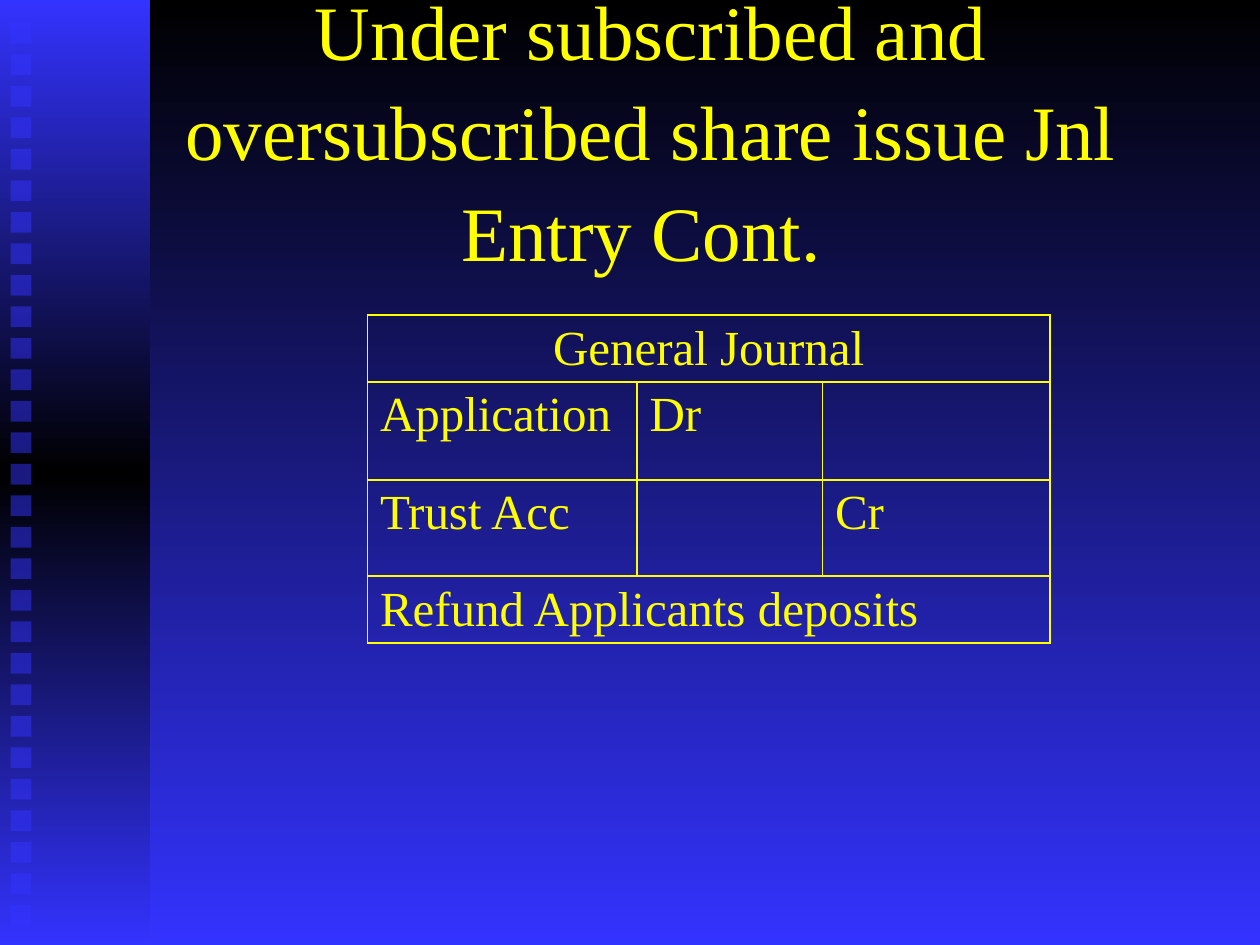
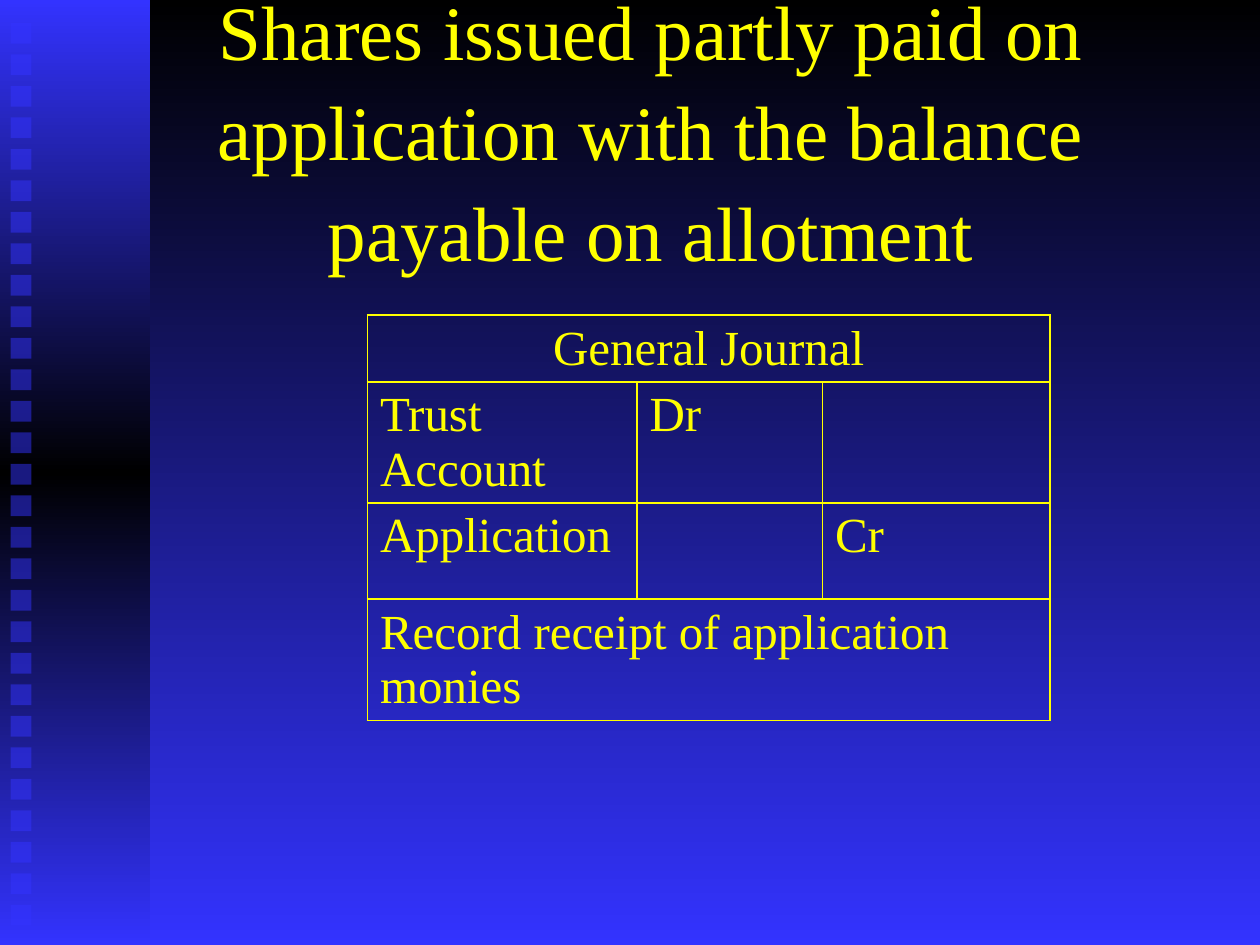
from lxml import etree
from pptx import Presentation
from pptx.dml.color import RGBColor
from pptx.enum import shapes, text
from pptx.oxml import ns
from pptx.util import Pt

BLACK = RGBColor(0x00, 0x00, 0x00)
BLUE = RGBColor(0x33, 0x33, 0xFF)
YELLOW = RGBColor(0xFF, 0xFF, 0x00)

JOURNALS = [
    (
        "Under subscribed and oversubscribed share issue Jnl Entry Cont. ",
        "Application",
        "Trust Acc",
        "Refund Applicants deposits",
    ),
    (
        "Shares issued partly paid on application with the balance payable on allotment",
        "Trust Account",
        "Application",
        "Record receipt of application monies",
    ),
]


def add_element(parent, tag, **attributes):
    return etree.SubElement(parent, ns.qn(tag), attributes)


def fill_downwards(fill, owner, colors):
    """Fill with evenly spaced colors from top to bottom; owner holds the fill's XML."""
    fill.gradient()
    fill.gradient_angle = 270
    stops = owner.find(".//" + ns.qn("a:gsLst"))
    for stop in list(stops):
        stops.remove(stop)
    for i, color in enumerate(colors):
        position = 100000 * i // (len(colors) - 1)
        stop = add_element(stops, "a:gs", pos=str(position))
        add_element(stop, "a:srgbClr", val=str(color))


class JournalDeck:
    FONT = "Times New Roman"
    TITLE_SIZE = Pt(44)
    CELL_SIZE = Pt(28)
    COLUMN_WIDTHS = [Pt(154), Pt(106), Pt(130)]
    ROW_HEIGHTS = [Pt(31), Pt(56), Pt(55), Pt(33)]

    def __init__(self):
        self.deck = Presentation()
        self.deck.slide_width, self.deck.slide_height = Pt(720), Pt(540)
        self.slide = None
        master = self.deck.slide_master
        fill_downwards(master.background.fill, master.element, [BLACK, BLUE])

    def new_slide(self):
        self.slide = self.deck.slides.add_slide(self.deck.slide_layouts[5])

    def master_rectangle(self, left, top, width, height):
        """Add a rectangle to the master, so that every slide shows it."""
        rectangle = self.slide.shapes.add_shape(
            shapes.MSO_SHAPE.RECTANGLE, left, top, width, height
        )
        rectangle.shadow.inherit = False
        rectangle.line.fill.background()
        self.deck.slide_master.shapes.element.append(rectangle.element)
        return rectangle

    def side_band(self):
        band = self.master_rectangle(0, 0, Pt(86), self.deck.slide_height)
        fill_downwards(band.fill, band.element, [BLUE, BLACK, BLUE])
        for i in range(29):
            square = self.master_rectangle(Pt(6), Pt(13 + 18 * i), Pt(12), Pt(12))
            square.fill.solid()
            square.fill.fore_color.rgb = BLUE
            color = square.element.spPr.find(".//" + ns.qn("a:srgbClr"))
            add_element(color, "a:alpha", val="50000")

    def add_words(self, paragraph, words, size, align):
        paragraph.alignment = align
        run = paragraph.add_run()
        run.text = words
        run.font.name = self.FONT
        run.font.size = size
        run.font.bold = False
        run.font.color.rgb = YELLOW

    def title(self, words):
        heading = self.slide.shapes.title
        heading.left, heading.top = Pt(66), Pt(24)
        heading.width, heading.height = Pt(612), Pt(96)
        frame = heading.text_frame
        frame.word_wrap = True
        frame.auto_size = text.MSO_AUTO_SIZE.NONE
        frame.vertical_anchor = text.MSO_ANCHOR.MIDDLE
        frame.paragraphs[0].line_spacing = 1.09
        self.add_words(
            frame.paragraphs[0], words, self.TITLE_SIZE, text.PP_ALIGN.CENTER
        )

    def outline(self, cell):
        properties = cell._tc.get_or_add_tcPr()
        for side in "LRTB":
            line = add_element(properties, f"a:ln{side}", w=str(int(Pt(1))))
            add_element(add_element(line, "a:solidFill"), "a:srgbClr", val=str(YELLOW))

    def journal(self, debit_account, credit_account, narration):
        entries = [
            ["General Journal", "", ""],
            [debit_account, "Dr", ""],
            [credit_account, "", "Cr"],
            [narration, "", ""],
        ]
        table = self.slide.shapes.add_table(
            len(entries), 3, Pt(210), Pt(180),
            sum(self.COLUMN_WIDTHS), sum(self.ROW_HEIGHTS),
        ).table
        table.first_row = table.horz_banding = False
        for column, width in zip(table.columns, self.COLUMN_WIDTHS):
            column.width = width
        for r, (row, height) in enumerate(zip(table.rows, self.ROW_HEIGHTS)):
            row.height = height
            align = text.PP_ALIGN.CENTER if r == 0 else text.PP_ALIGN.LEFT
            for cell, words in zip(row.cells, entries[r]):
                self.outline(cell)
                cell.fill.background()
                if words:
                    paragraph = cell.text_frame.paragraphs[0]
                    self.add_words(paragraph, words, self.CELL_SIZE, align)
        for r in (0, 3):
            table.cell(r, 0).merge(table.cell(r, 2))


def main():
    lesson = JournalDeck()
    for number, (heading, debit, credit, narration) in enumerate(JOURNALS):
        lesson.new_slide()
        if number == 0:
            lesson.side_band()
        lesson.title(heading)
        lesson.journal(debit, credit, narration)
    lesson.deck.save("out.pptx")


if __name__ == "__main__":
    main()
